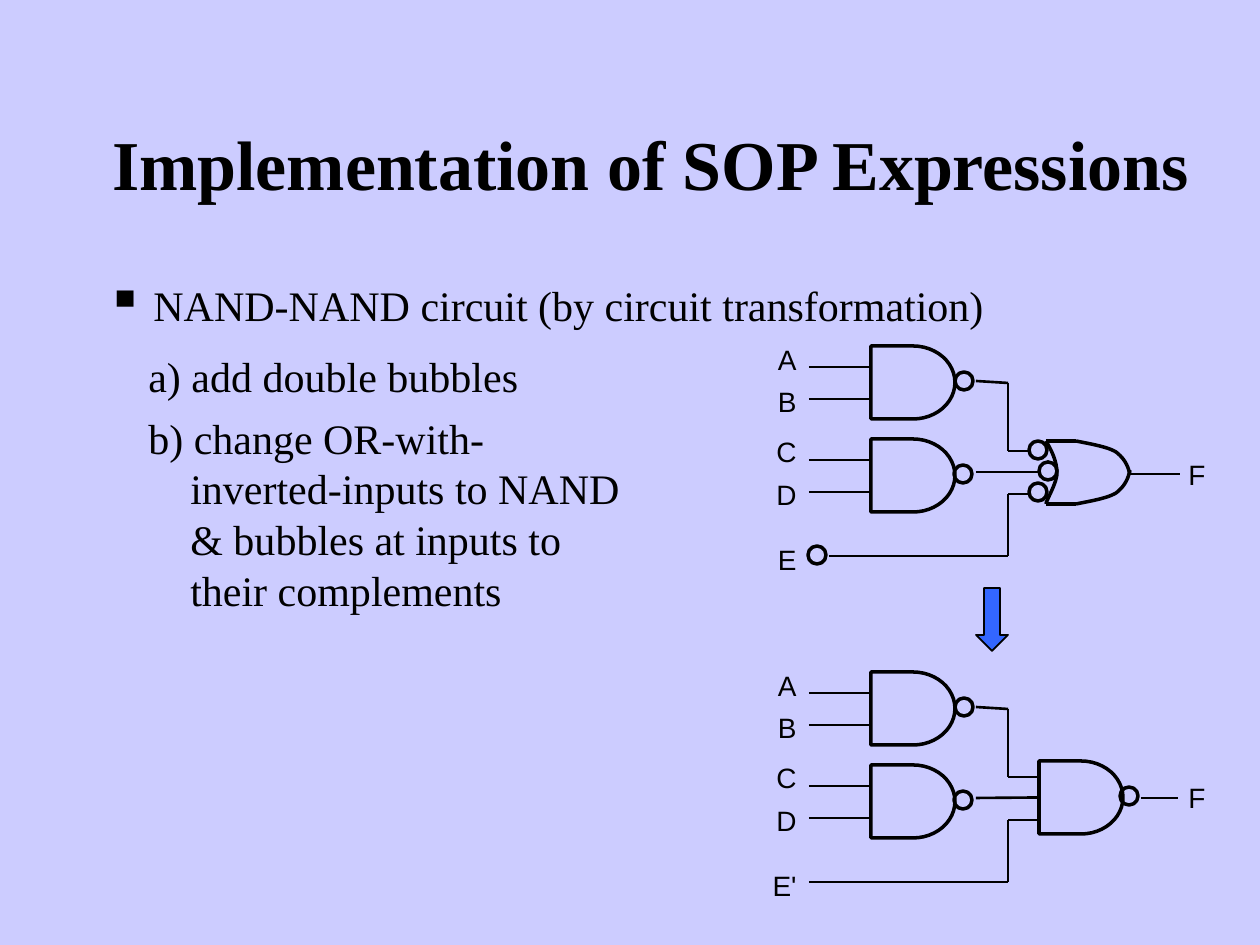
from dataclasses import dataclass

from lxml.etree import SubElement
from pptx import Presentation
from pptx.dml.color import RGBColor
from pptx.enum.shapes import MSO_CONNECTOR, MSO_SHAPE
from pptx.enum.text import MSO_ANCHOR, PP_ALIGN
from pptx.oxml.ns import qn
from pptx.util import Pt

EMU_PER_PX = 914400 / 126
BLACK, BLUE, LAVENDER = "000000", "3366FF", "CCCCFF"
SERIF, SANS = "Times New Roman", "Arial"
WIRE, OUTLINE = 1.5, 2
BUBBLE = 18
GATE_WIDTH, GATE_HEIGHT = 84, 73
CIRCUIT_STEP = 326


@dataclass
class Line:
    text: str
    margin: int
    hanging: int = 0
    before: int = 6
    spacing: float = 0.8
    bullet: str = ""


@dataclass
class Circuit:
    top: int
    last_input: str
    last_wire_start: int
    outer_entry: int


def px(length: float) -> int:
    return round(length * EMU_PER_PX)


def color(value: str) -> RGBColor:
    return RGBColor.from_string(value)


def apply(target, values: dict) -> None:
    for name, value in values.items():
        setattr(target, name, value)


def outline(shape, width: float) -> None:
    shape.line.color.rgb = color(BLACK)
    shape.line.width = Pt(width)


def add_box(page, left: int, top: int, width: int, height: int, anchor=MSO_ANCHOR.TOP):
    box = page.shapes.add_textbox(px(left), px(top), px(width), px(height))
    apply(box.text_frame, {"word_wrap": True, "vertical_anchor": anchor})
    return box.text_frame


def write(para, text: str, size: int, font: str, bold: bool = False) -> None:
    span = para.add_run()
    span.text = text
    apply(span.font, {"size": Pt(size), "name": font, "bold": bold})
    span.font.color.rgb = color(BLACK)


def add_label(page, text: str, left: int, top: int, width: int, align) -> None:
    para = add_box(page, left, top, width, 47).paragraphs[0]
    para.alignment = align
    write(para, text, 16, SANS)


def add_bullet(para, mark: str) -> None:
    properties = para._p.get_or_add_pPr()
    tint = SubElement(properties, qn("a:buClr"))
    SubElement(tint, qn("a:srgbClr"), val=BLACK)
    SubElement(properties, qn("a:buSzPct"), val="120000")
    SubElement(properties, qn("a:buChar"), char=mark)


def add_line(page, start: tuple, end: tuple, width: float = WIRE):
    line = page.shapes.add_connector(
        MSO_CONNECTOR.STRAIGHT, *(px(value) for value in start + end))
    outline(line, width)
    SubElement(line._element.spPr, qn("a:effectLst"))
    return line


def add_preset(page, kind, left: int, top: int, width: int, height: int,
               fill: str = "", line_width: float = OUTLINE):
    shape = page.shapes.add_shape(kind, px(left), px(top), px(width), px(height))
    shape.shadow.inherit = False
    if fill:
        shape.fill.solid()
        shape.fill.fore_color.rgb = color(fill)
    else:
        shape.fill.background()
    outline(shape, line_width)
    return shape


def add_gate(page, left: int, top: int):
    return add_preset(page, MSO_SHAPE.FLOWCHART_DELAY, left, top, GATE_WIDTH, GATE_HEIGHT)


def add_bubble(page, left: int, top: int) -> None:
    add_preset(page, MSO_SHAPE.OVAL, left, top, BUBBLE, BUBBLE)


def add_curve(page, points: list, steps: int = 12) -> None:
    """Draw joined cubic curves: a start, then three points for each curve."""
    vertices = []
    for first in range(0, len(points) - 1, 3):
        a, b, c, d = points[first:first + 4]
        for step in range(1, steps + 1):
            t = step / steps
            weights = ((1 - t) ** 3, 3 * t * (1 - t) ** 2, 3 * t * t * (1 - t), t ** 3)
            vertices.append(tuple(
                px(sum(w * p[axis] for w, p in zip(weights, (a, b, c, d))))
                for axis in (0, 1)))
    start_x, start_y = points[0]
    builder = page.shapes.build_freeform(px(start_x), px(start_y), scale=1.0)
    builder.add_line_segments(vertices, close=False)
    shape = builder.convert_to_shape()
    shape.shadow.inherit = False
    shape.fill.background()
    outline(shape, OUTLINE)


def add_or_gate(page, left: int, top: int, bottom: int) -> None:
    shoulder = left + 30
    add_curve(page, [(left, top), (1052, 451), (1057, 462), (1057, 473),
                     (1057, 483), (1047, 499), (left, bottom)])
    front = [(shoulder, top), (1091, 444), (1108, 447), (1116, 452),
             (1125, 459), (1128, 466), (1130, 475)]
    add_curve(page, front)
    add_curve(page, [(x, top + bottom - y) for x, y in front])
    for y in (top, bottom):
        add_line(page, (left, y), (shoulder, y), OUTLINE)


def add_first_level(page, circuit: Circuit):
    """Draw inputs, both NAND gates and their wires; return the middle wire."""
    top = circuit.top
    labels = zip(("A", "B", "C", "D", circuit.last_input), (-10, 32, 82, 125, 190))
    for text, offset in labels:
        add_label(page, text, 756, top + offset, 53, PP_ALIGN.RIGHT)
    for gate_top, bubble_left in ((top, 955), (top + 93, 954)):
        for offset in (21, 53):
            add_line(page, (809, gate_top + offset), (871, gate_top + offset))
        add_gate(page, 871, gate_top)
        add_bubble(page, bubble_left, gate_top + 26)
    # Bent wires run through one vertical at the bend
    bend, upper, lower, last = 1008, top + 105, top + 148, top + 210
    route = [(976, top + 35), (bend, top + 37), (bend, upper), (circuit.outer_entry, upper)]
    last_route = [(circuit.last_wire_start, last), (bend, last), (bend, lower),
                  (circuit.outer_entry, lower)]
    for points in (route, last_route):
        for start, end in zip(points, points[1:]):
            add_line(page, start, end)
    return add_line(page, (976, top + 126), (1040, top + 126))


def main() -> None:
    deck = Presentation()
    apply(deck, {"slide_width": px(1260), "slide_height": px(945)})
    page = deck.slides.add_slide(deck.slide_layouts[6])
    page.background.fill.solid()
    page.background.fill.fore_color.rgb = color(LAVENDER)

    # Title
    title = add_box(page, 94, 84, 1113, 158, MSO_ANCHOR.MIDDLE).paragraphs[0]
    title.alignment = PP_ALIGN.CENTER
    write(title, "Implementation of SOP Expressions", 40, SERIF, True)

    # Explanation
    lines = [
        Line("NAND-NAND circuit (by circuit transformation)", 47, -47, 0, 1.0, "▪"),
        Line("a) add double bubbles", 42, before=12, spacing=1.0),
        Line("b) change OR-with-", 42, before=12),
        Line("inverted-inputs to NAND", 84),
        Line("& bubbles at inputs to", 84),
        Line("their complements", 84),
    ]
    frame = add_box(page, 94, 273, 1071, 567)
    for index, line in enumerate(lines):
        para = frame.add_paragraph() if index else frame.paragraphs[0]
        properties = para._p.get_or_add_pPr()
        properties.set("marL", str(px(line.margin)))
        properties.set("indent", str(px(line.hanging)))
        if line.bullet:
            add_bullet(para, line.bullet)
        apply(para, {"space_before": Pt(line.before), "line_spacing": line.spacing})
        write(para, line.text, 24, SERIF)

    # Upper circuit: OR gate with inverted inputs
    upper = Circuit(346, "E", 829, 1029)
    add_first_level(page, upper)
    add_or_gate(page, 1046, 441, 504)
    for left, top in ((808, 546), (1029, 441), (1039, 462), (1029, 483)):
        add_bubble(page, left, top)
    add_line(page, (1131, 474), (1180, 474))
    add_label(page, "F", 1176, 451, 60, PP_ALIGN.LEFT)

    # Transformation arrow
    add_preset(page, MSO_SHAPE.DOWN_ARROW, 976, 588, 32, 63, BLUE, 1)

    # Lower circuit: NAND gate
    lower = Circuit(upper.top + CIRCUIT_STEP, "E'", 809, 1040)
    middle_wire = add_first_level(page, lower)
    output_gate = add_gate(page, 1039, 761)
    middle_wire.end_connect(output_gate, 1)
    add_bubble(page, 1120, 787)
    add_line(page, (1141, 798), (1178, 798))
    add_label(page, "F", 1176, 774, 60, PP_ALIGN.LEFT)

    deck.save("out.pptx")


if __name__ == "__main__":
    main()
